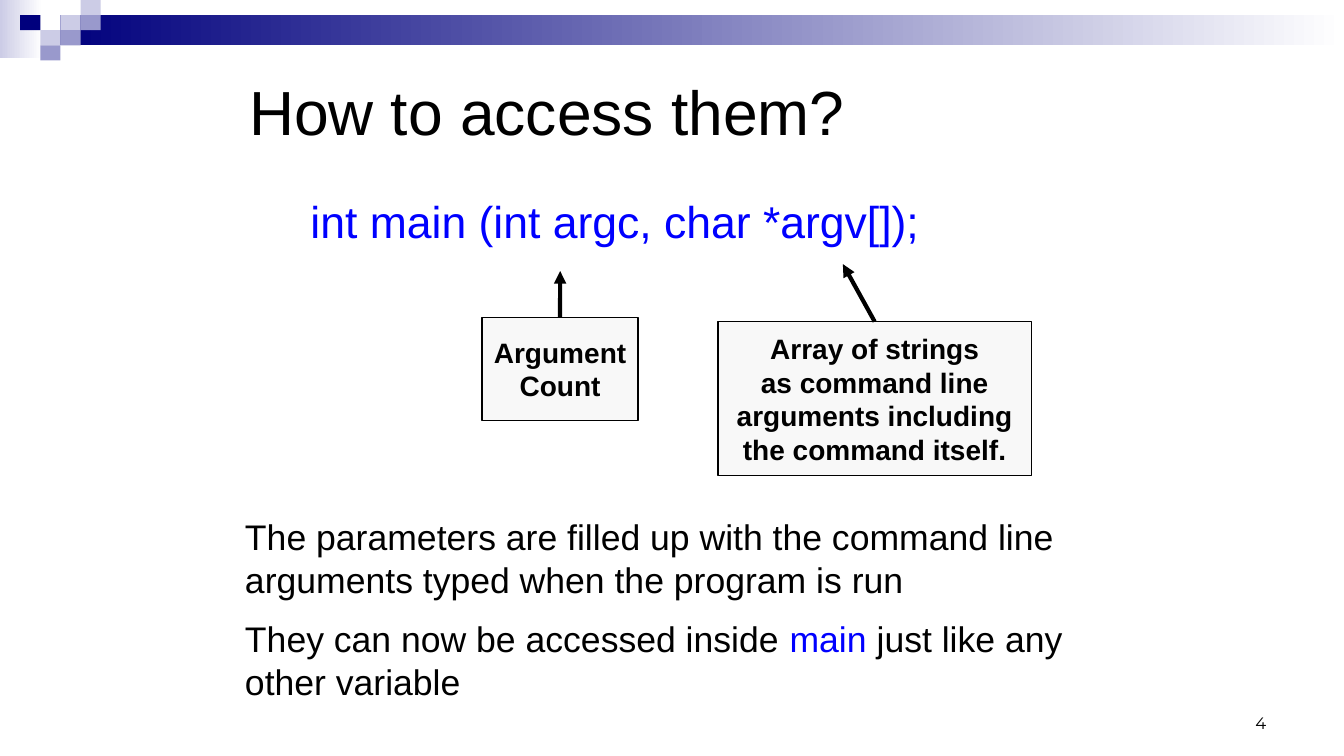
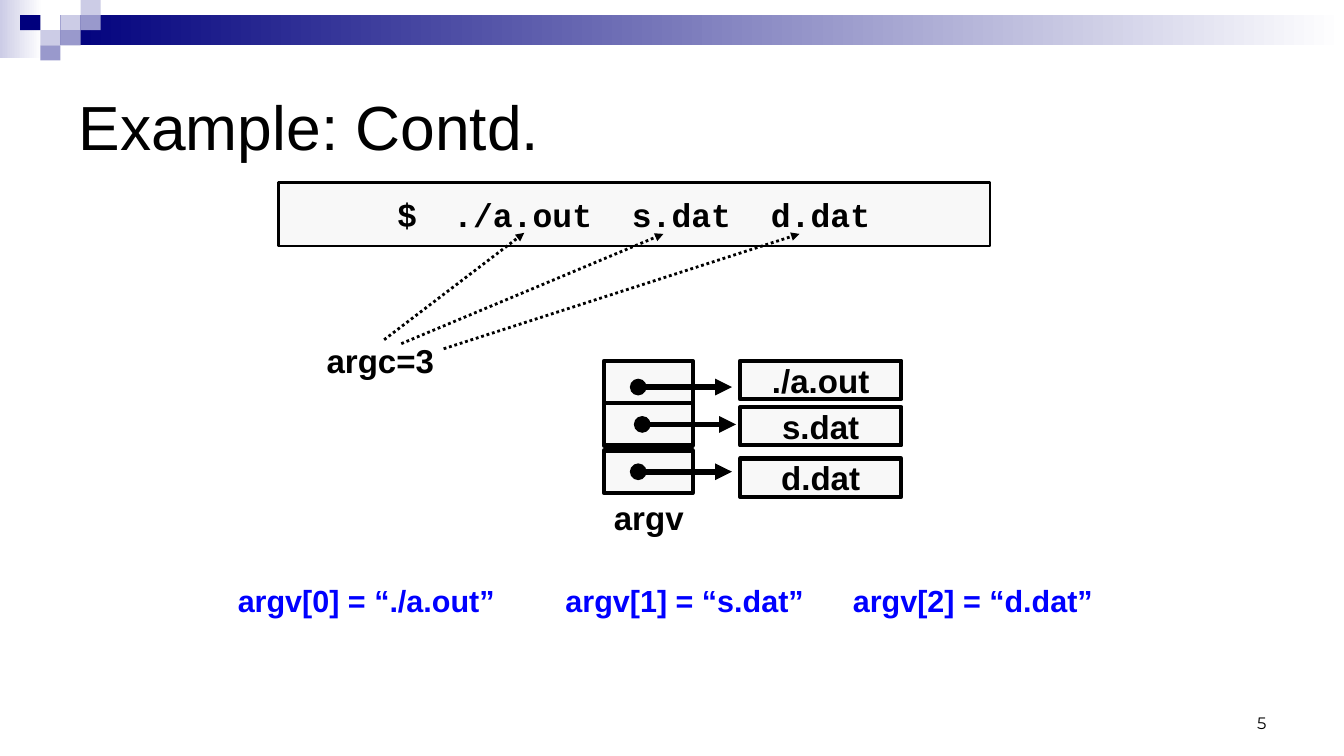
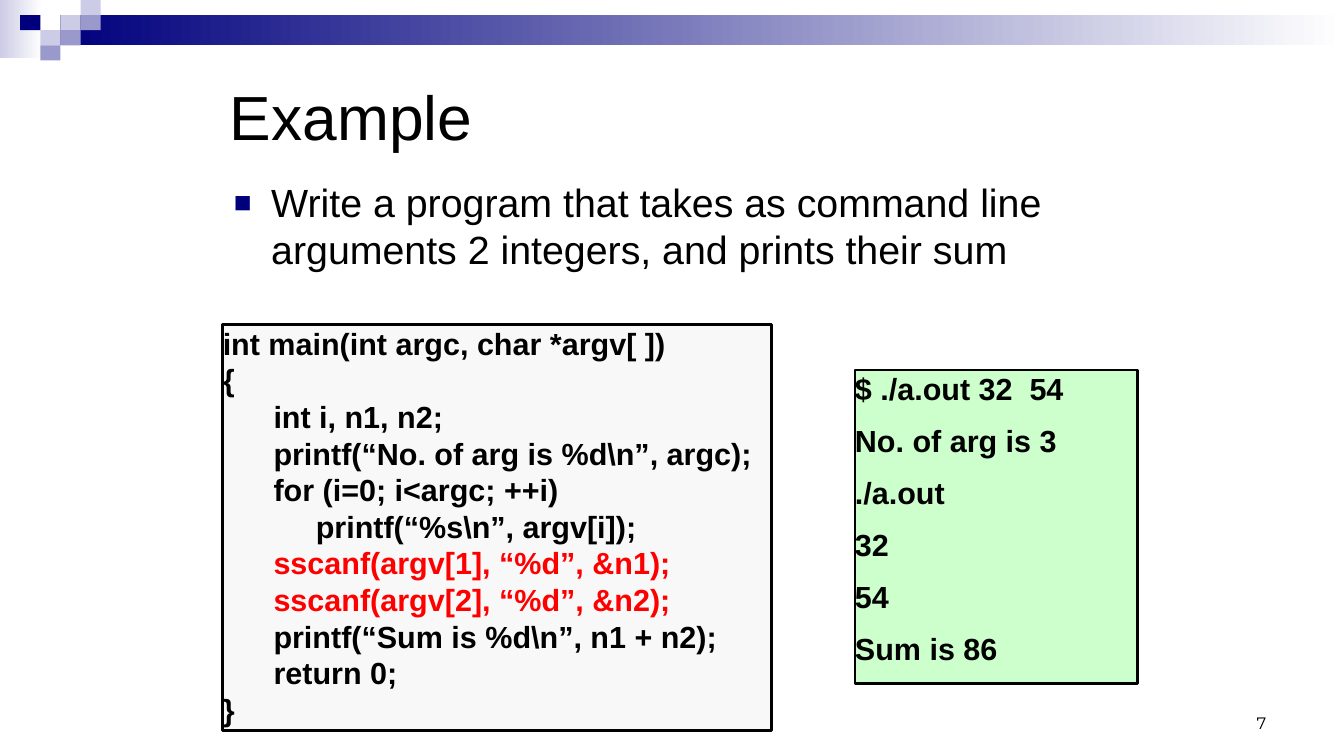
from lxml.etree import SubElement
from pptx import Presentation
from pptx.dml.color import RGBColor
from pptx.enum.dml import MSO_LINE
from pptx.enum.shapes import MSO_CONNECTOR, MSO_SHAPE
from pptx.enum.text import MSO_ANCHOR, MSO_AUTO_SIZE, PP_ALIGN
from pptx.oxml.ns import qn
from pptx.util import Inches, Pt

BLACK = RGBColor(0x00, 0x00, 0x00)
WHITE = RGBColor(0xFF, 0xFF, 0xFF)
BLUE = RGBColor(0x00, 0x00, 0xFF)
RED = RGBColor(0xFF, 0x00, 0x00)
NAVY = RGBColor(0x00, 0x00, 0x7D)
LAVENDER = RGBColor(0x99, 0x99, 0xCC)
PALE_LAVENDER = RGBColor(0xCC, 0xCC, 0xE6)
PALE_GRAY = RGBColor(0xF8, 0xF8, 0xF8)
PALE_GREEN = RGBColor(0xCC, 0xFF, 0xCC)

COLUMN, ROW = Inches(0.2), Inches(0.15)
TITLE_AND_BODY, TITLE_ONLY = 1, 5
PLACEHOLDER_INSETS = (0.11, 0.06)
BOX_INSETS = (0.1, 0.05)
NO_INSETS = (0, 0)


def across(columns):
    return round(columns * COLUMN)


def down(rows):
    return round(rows * ROW)


def area(left, top, width, height):
    return across(left), down(top), across(width), down(height)


def write_text(frame, paragraphs, size=23.6, font="Arial", color=BLACK, bold=False,
               align=PP_ALIGN.LEFT, anchor=MSO_ANCHOR.TOP, insets=BOX_INSETS,
               wrap=True, gap=0):
    frame.auto_size = MSO_AUTO_SIZE.NONE
    frame.word_wrap = wrap
    frame.vertical_anchor = anchor
    frame.margin_left = frame.margin_right = Inches(insets[0])
    frame.margin_top = frame.margin_bottom = Inches(insets[1])
    for index, content in enumerate(paragraphs):
        paragraph = frame.add_paragraph() if index else frame.paragraphs[0]
        paragraph.alignment = align
        paragraph.space_before = Pt(gap if index else 0)
        runs = [(content, {})] if isinstance(content, str) else content
        for text, changes in runs:
            run = paragraph.add_run()
            run.text = text
            run.font.size = Pt(size)
            run.font.bold = bold
            run.font.name = changes.get("font", font)
            run.font.color.rgb = changes.get("color", color)


def set_indent(paragraph, margin, first_line=0, bullet=None):
    properties = paragraph._p.get_or_add_pPr()
    properties.set("marL", str(across(margin)))
    properties.set("indent", str(across(first_line)))
    if bullet is None:
        SubElement(properties, qn("a:buNone"))
        return
    bullet_color = SubElement(properties, qn("a:buClr"))
    SubElement(bullet_color, qn("a:srgbClr")).set("val", str(NAVY))
    SubElement(properties, qn("a:buSzPct")).set("val", "75000")
    SubElement(properties, qn("a:buFont")).set("typeface", "Arial")
    SubElement(properties, qn("a:buChar")).set("char", bullet)


def set_tabs(paragraph, stops):
    tabs = SubElement(paragraph._p.get_or_add_pPr(), qn("a:tabLst"))
    for stop in stops:
        tab = SubElement(tabs, qn("a:tab"))
        tab.set("pos", str(across(stop)))
        tab.set("algn", "l")


class Deck:
    def __init__(self):
        self.presentation = Presentation()
        self.presentation.slide_width = Inches(13.33)
        self.presentation.slide_height = Inches(7.5)
        self.slide = None

    def add_slide(self, layout, number, title, *title_area):
        layouts = self.presentation.slide_layouts
        self.slide = self.presentation.slides.add_slide(layouts[layout])
        if len(self.presentation.slides) == 1:
            self.add_banner_to_master()
        self.fill_placeholder(self.slide.shapes.title, title, title_area,
                              size=44.5, anchor=MSO_ANCHOR.MIDDLE)
        self.text([str(number)], 47.8, 45.53, 15.55, 3.33, size=11.8, font="Montserrat",
                  align=PP_ALIGN.RIGHT, anchor=MSO_ANCHOR.BOTTOM, insets=PLACEHOLDER_INSETS)

    def add_banner_to_master(self):
        shapes = [self.fade(PALE_LAVENDER, 0, 0, 2.1, 3.87),
                  self.fade(NAVY, 3, 1, 63.65, 2)]
        tiles = {NAVY: [(1, 1)],
                 PALE_LAVENDER: [(3, 1), (4, 0), (2, 2)],
                 LAVENDER: [(4, 1), (3, 2), (2, 3)]}
        for color, places in tiles.items():
            shapes += [self.box(left, top, 1, 1, fill=color, line=0) for left, top in places]
        master = self.slide.slide_layout.slide_master
        for shape in shapes:
            master.shapes.element.append(shape.element)

    def fade(self, color, *place):
        shape = self.box(*place, line=0)
        shape.fill.gradient()
        shape.fill.gradient_angle = 0
        for stop, stop_color in zip(shape.fill.gradient_stops, (color, WHITE)):
            stop.color.rgb = stop_color
        return shape

    def fill_placeholder(self, placeholder, text, place, **style):
        placeholder.left, placeholder.top, placeholder.width, placeholder.height = area(*place)
        write_text(placeholder.text_frame, [text], insets=PLACEHOLDER_INSETS, **style)

    def body(self, text, *place, margin, first_line=0, bullet=None, **style):
        placeholder = self.slide.placeholders[1]
        set_indent(placeholder.text_frame.paragraphs[0], margin, first_line, bullet)
        self.fill_placeholder(placeholder, text, place, **style)

    def text(self, paragraphs, *place, tabs=(), **style):
        shape = self.slide.shapes.add_textbox(*area(*place))
        if tabs:
            set_tabs(shape.text_frame.paragraphs[0], tabs)
        write_text(shape.text_frame, paragraphs, **style)

    def box(self, *place, fill=PALE_GRAY, line=2, paragraphs=(), **style):
        shape = self.slide.shapes.add_shape(MSO_SHAPE.RECTANGLE, *area(*place))
        shape.shadow.inherit = False
        shape.fill.solid()
        shape.fill.fore_color.rgb = fill
        if line:
            shape.line.color.rgb = BLACK
            shape.line.width = Pt(line)
        else:
            shape.line.fill.background()
        if paragraphs:
            write_text(shape.text_frame, paragraphs, bold=True, **style)
        return shape

    def label(self, paragraphs, *place, line, size=23.6):
        return self.box(*place, line=line, paragraphs=paragraphs, size=size, wrap=False,
                        align=PP_ALIGN.CENTER, anchor=MSO_ANCHOR.MIDDLE)

    def arrow(self, start, end, width, dash=None, head=None, source=None):
        connector = self.slide.shapes.add_connector(
            MSO_CONNECTOR.STRAIGHT, across(start[0]), down(start[1]),
            across(end[0]), down(end[1]))
        if source is not None:
            connector.begin_connect(source, 0)
        connector.line.color.rgb = BLACK
        connector.line.width = Pt(width)
        if dash:
            connector.line.dash_style = dash
        properties = connector.element.spPr
        outline = properties.find(qn("a:ln"))
        if head:
            SubElement(outline, qn("a:headEnd")).set("type", head)
        SubElement(outline, qn("a:tailEnd")).set("type", "triangle")
        SubElement(properties, qn("a:effectLst"))


def build_access(deck):
    deck.add_slide(TITLE_AND_BODY, 4, "How to access them?", 11.8, 2.33, 45, 10)
    deck.body("int main (int argc, char *argv[]);", 11.8, 12.4, 42, 26.6,
              margin=3.05, size=31.8, color=BLUE)
    count = deck.label(["Argument", "Count"], 23.9, 21, 7.75, 6.8, line=1, size=20)
    strings = deck.label(["Array of strings", "as command line", "arguments including",
                          "the command itself."], 35.6, 21.27, 15.55, 10.2, line=1, size=20)
    deck.arrow((27.78, 21), (27.78, 17.93), 3, source=count)
    deck.arrow((43.38, 21.27), (41.8, 17.47), 3, source=strings)
    deck.text(["The parameters are filled up with the command line arguments typed "
               "when the program is run",
               [("They can now be accessed inside ", {}), ("main", {"color": BLUE}),
                (" just like any other variable", {})]],
              12.15, 34.07, 43.45, 12.8, size=25.4, insets=NO_INSETS, gap=12)


def build_vector(deck):
    deck.add_slide(TITLE_ONLY, 5, "Example: Contd.", 3.35, 3.33, 60, 10)
    deck.label([[("$    ", {}), ("./a.out  s.dat  d.dat", {"font": "Courier New"})]],
               13.8, 12.07, 35.3, 4.2, line=2)
    deck.text(["argc=3"], 15.7, 22.2, 6.4, 3.33, bold=True, wrap=False)
    for top in (23.87, 26.67, 29.8):
        deck.box(29.95, top, 4.4, 2.8, line=3)
    names = (("./a.out", 23.87, 31.65, 25.6),
             ("s.dat", 26.93, 31.85, 28.07),
             ("d.dat", 30.33, 31.65, 31.2))
    for name, top, pointer_left, pointer_top in names:
        deck.label([name], 36.7, top, 8, 2.53, line=3)
        deck.arrow((pointer_left, pointer_top), (pointer_left + 4.65, pointer_top), 4,
                   head="oval")
    deck.text(["argv"], 29.95, 32.6, 4.5, 3.33, bold=True, wrap=False)
    deck.text(["argv[0] = “./a.out”\targv[1] = “s.dat”\targv[2] = “d.dat”"],
              11.3, 38.13, 43.6, 3.13, tabs=(16.25, 30.5), size=21.8, color=BLUE, bold=True)
    for start, end in (((19.05, 22.47), (26, 15.4)),
                       ((19.9, 22.73), (32.9, 15.47)),
                       ((22, 23.07), (39.65, 15.47))):
        deck.arrow(start, end, 2, dash=MSO_LINE.ROUND_DOT)


def build_sum(deck):
    deck.add_slide(TITLE_AND_BODY, 7, "Example", 10.85, 3.33, 44.8, 8.6)
    deck.body("Write a program that takes as command line arguments 2 integers, "
              "and prints their sum", 11.05, 11.4, 44.25, 8.6,
              margin=1.85, first_line=-1.85, bullet="■", size=28.1)
    code = ["int main(int argc, char *argv[ ])",
            "{",
            "      int i, n1, n2;",
            "      printf(“No. of arg is %d\\n”, argc);",
            "      for (i=0; i<argc; ++i)",
            "           printf(“%s\\n”, argv[i]);",
            [("      sscanf(argv[1], “%d”, &n1);", {"color": RED})],
            [("      sscanf(argv[2], “%d”, &n2);", {"color": RED})],
            "      printf(“Sum is %d\\n”, n1 + n2);",
            "      return 0;",
            "}"]
    deck.box(11.05, 21.47, 27.2, 26.87, paragraphs=code, size=21.8, insets=NO_INSETS)
    output = ["$ ./a.out 32  54", "No. of arg is 3", "./a.out", "32", "54", "Sum is 86"]
    deck.box(42.4, 24.47, 14, 20.73, fill=PALE_GREEN, paragraphs=output, size=21.8,
             insets=NO_INSETS, gap=11)


def main():
    deck = Deck()
    build_access(deck)
    build_vector(deck)
    build_sum(deck)
    deck.presentation.save("out.pptx")


if __name__ == "__main__":
    main()
